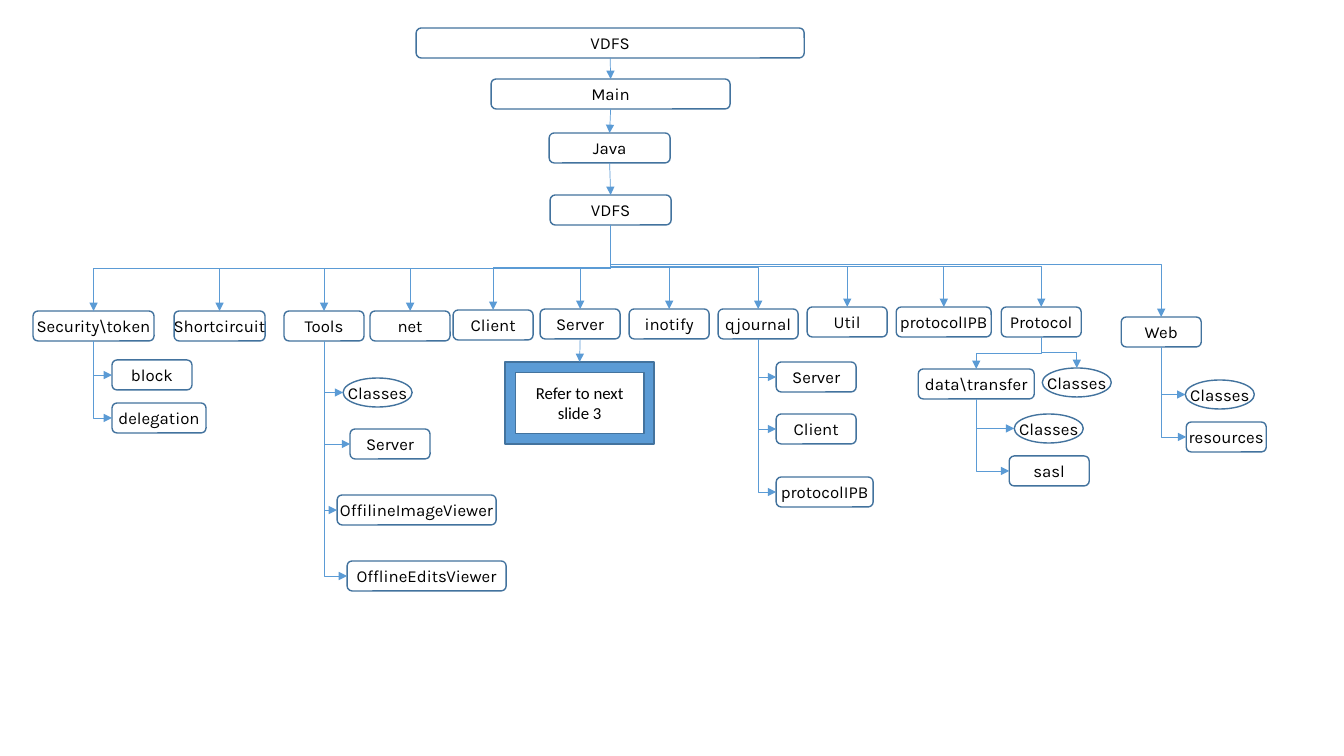
import pptx
import pptx.util
import pptx.dml.color
import pptx.enum.shapes
import pptx.enum.text
import pptx.oxml
import pptx.oxml.ns

SHAPES = pptx.enum.shapes.MSO_SHAPE
CONNECTORS = pptx.enum.shapes.MSO_CONNECTOR
EMU_PER_PIXEL = 914400 / 100.8
COLORS = {"outline": "43739E", "accent": "5B9BD5", "text": "000000"}
BOX_HEIGHT = 30
BOX_WIDTH = 80
OVAL_SIZE = (69, 29)
TOP, BOTTOM = 0, 2
BOX_LEFT, OVAL_LEFT = 1, 2
SYSTEM = "VDFS"

CHAIN = [(SYSTEM, 416, 28, 388), ("Main", 491, 79, 239),
         ("Java", 549, 133, 121), (SYSTEM, 550, 195, 121)]

PACKAGES = [
    ("Security\\token", 33, 311, 121),
    ("Shortcircuit", 174, 311, 91),
    ("Tools", 284, 311, BOX_WIDTH),
    ("net", 370, 311, BOX_WIDTH),
    ("Client", 453, 310, BOX_WIDTH),
    ("Server", 540, 309, BOX_WIDTH),
    ("inotify", 629, 309, BOX_WIDTH),
    ("qjournal", 718, 309, BOX_WIDTH),
    ("Util", 807, 307, BOX_WIDTH),
    ("protocolIPB", 896, 307, 95),
    ("Protocol", 1001, 307, BOX_WIDTH),
    ("Web", 1121, 317, BOX_WIDTH),
]
WEB_BEND = 0.433

CONTENTS = {
    "Security\\token": [("block", 112, 360, BOX_WIDTH),
                        ("delegation", 112, 403, 94)],
    "Tools": [("Classes", 343, 378),
              ("Server", 350, 429, BOX_WIDTH),
              ("OffilineImageViewer", 337, 495, 159),
              ("OfflineEditsViewer", 347, 561, 159)],
    "qjournal": [("Server", 776, 362, BOX_WIDTH),
                 ("Client", 776, 414, BOX_WIDTH),
                 ("protocolIPB", 776, 477, 97)],
    "data\\transfer": [("Classes", 1014, 414),
                       ("sasl", 1009, 456, BOX_WIDTH)],
    "Web": [("Classes", 1185, 380),
            ("resources", 1186, 422, BOX_WIDTH)],
}


def px(pixels):
    return pptx.util.Emu(round(pixels * EMU_PER_PIXEL))


def rgb(name):
    return pptx.dml.color.RGBColor.from_string(COLORS[name])


def add_labelled(slide, kind, label, bounds, font="Karla", wrap=False, fill=None):
    node = slide.shapes.add_shape(kind, *map(px, bounds))
    node.shadow.inherit = False
    if fill:
        node.fill.solid()
        node.fill.fore_color.rgb = rgb(fill)
    else:
        node.fill.background()
    node.line.color.rgb = rgb("outline")
    node.line.width = pptx.util.Pt(1)
    frame = node.text_frame
    frame.word_wrap = wrap
    frame.vertical_anchor = pptx.enum.text.MSO_ANCHOR.MIDDLE
    paragraph = frame.paragraphs[0]
    paragraph.alignment = pptx.enum.text.PP_ALIGN.CENTER
    run = paragraph.add_run()
    run.text = label
    run.font.name = font
    run.font.size = pptx.util.Pt(12)
    run.font.color.rgb = rgb("text")
    return node


def add_box(slide, label, left, top, width):
    return add_labelled(slide, SHAPES.ROUNDED_RECTANGLE, label,
                        (left, top, width, BOX_HEIGHT))


def add_oval(slide, label, left, top):
    return add_labelled(slide, SHAPES.OVAL, label, (left, top, *OVAL_SIZE))


def add_arrow(slide, kind, parent, child, child_site):
    arrow = slide.shapes.add_connector(kind, 0, 0, 0, 0)
    arrow.begin_connect(parent, BOTTOM)
    arrow.end_connect(child, child_site)
    arrow.line.color.rgb = rgb("accent")
    arrow.line.width = pptx.util.Pt(0.5)
    outline = arrow._element.spPr.find(pptx.oxml.ns.qn("a:ln"))
    outline.append(pptx.oxml.parse_xml(
        '<a:tailEnd %s type="triangle"/>' % pptx.oxml.ns.nsdecls("a")))
    arrow._element.spPr.append(pptx.oxml.parse_xml(
        "<a:effectLst %s/>" % pptx.oxml.ns.nsdecls("a")))
    return arrow


def add_straight(slide, parent, child):
    add_arrow(slide, CONNECTORS.STRAIGHT, parent, child, TOP)


def lay_elbow(arrow, start, end, preset, bend=None):
    run, drop = end[0] - start[0], end[1] - start[1]
    arrow.left = (start[0] + end[0] - drop) // 2
    arrow.top = (start[1] + end[1] - abs(run)) // 2
    arrow.width, arrow.height = drop, abs(run)
    xfrm = arrow._element.spPr.find(pptx.oxml.ns.qn("a:xfrm"))
    xfrm.set("rot", "16200000" if run > 0 else "5400000")
    xfrm.set("flipH", "1" if run > 0 else "0")
    xfrm.set("flipV", "0")
    geometry = arrow._element.spPr.find(pptx.oxml.ns.qn("a:prstGeom"))
    geometry.set("prst", preset)
    if bend is not None:
        geometry.find(pptx.oxml.ns.qn("a:avLst")).append(pptx.oxml.parse_xml(
            '<a:gd %s name="adj1" fmla="val %d"/>'
            % (pptx.oxml.ns.nsdecls("a"), round(bend * 100000))))


def bottom_of(node):
    return node.left + node.width // 2, node.top + node.height


def add_branch(slide, parent, child, bend=0.5):
    arrow = add_arrow(slide, CONNECTORS.ELBOW, parent, child, TOP)
    end = child.left + child.width // 2, child.top
    lay_elbow(arrow, bottom_of(parent), end, "bentConnector3", bend)


def add_contents(slide, parent, entries):
    for entry in entries:
        is_oval = entry[0] == "Classes"
        child = (add_oval if is_oval else add_box)(slide, *entry)
        site = OVAL_LEFT if is_oval else BOX_LEFT
        arrow = add_arrow(slide, CONNECTORS.ELBOW, parent, child, site)
        end = child.left, child.top + child.height // 2
        lay_elbow(arrow, bottom_of(parent), end, "bentConnector2")


def main():
    deck = pptx.Presentation()
    deck.slide_width = pptx.util.Inches(13.33)
    deck.slide_height = pptx.util.Inches(7.5)
    slide = deck.slides.add_slide(deck.slide_layouts[6])

    chain = [add_box(slide, *entry) for entry in CHAIN]
    for parent, child in zip(chain, chain[1:]):
        add_straight(slide, parent, child)

    packages = {entry[0]: add_box(slide, *entry) for entry in PACKAGES}
    for name, package in packages.items():
        add_branch(slide, chain[-1], package, WEB_BEND if name == "Web" else 0.5)

    reference = add_labelled(slide, SHAPES.FRAME, "Refer to next slide 3",
                             (505, 362, 149, 82), "Calibri", True, "accent")
    add_straight(slide, packages["Server"], reference)

    transfer = add_box(slide, "data\\transfer", 918, 369, 116)
    protocol_classes = add_oval(slide, "Classes", 1042, 368)
    for child in (transfer, protocol_classes):
        add_branch(slide, packages["Protocol"], child)

    parents = {**packages, "data\\transfer": transfer}
    for name, entries in CONTENTS.items():
        add_contents(slide, parents[name], entries)

    deck.save("out.pptx")


main()
